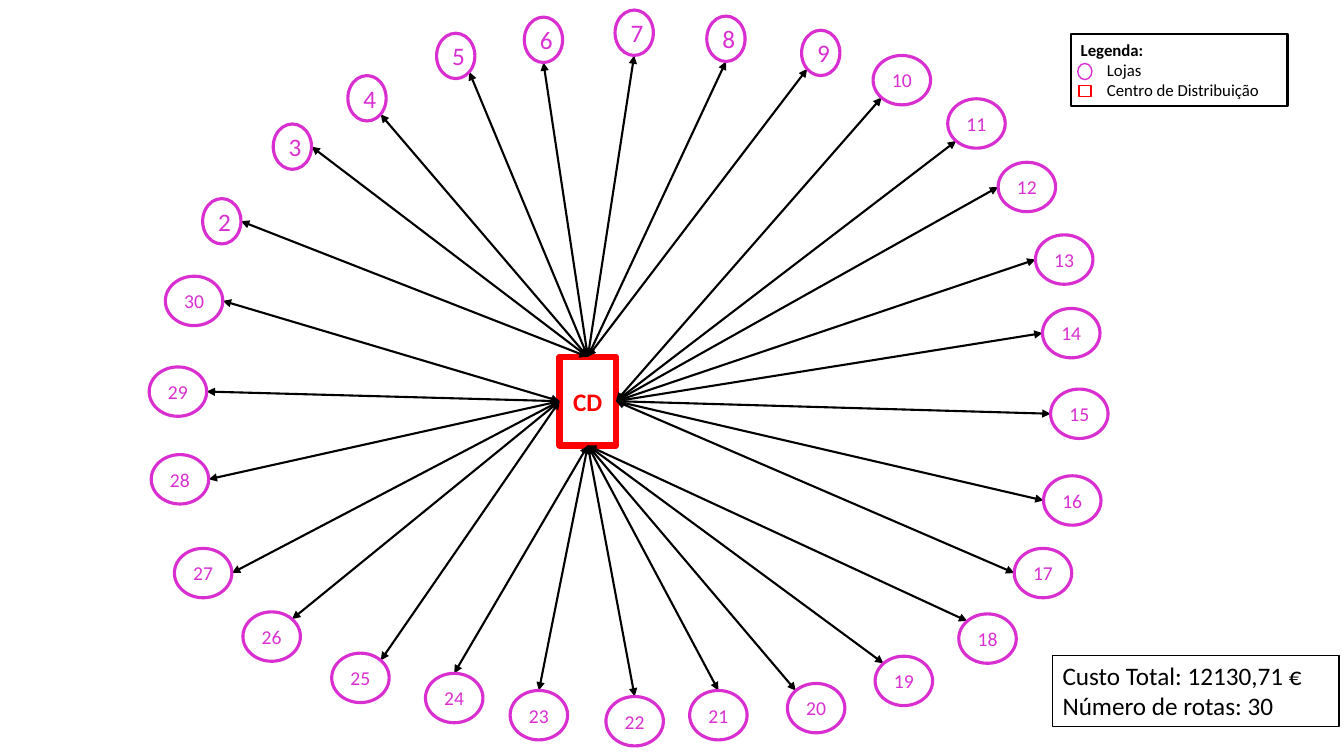
from math import sqrt

from lxml import etree
from pptx import Presentation
from pptx.dml.color import RGBColor
from pptx.enum.shapes import MSO_CONNECTOR, MSO_SHAPE
from pptx.enum.text import MSO_ANCHOR, PP_ALIGN
from pptx.oxml.ns import qn
from pptx.util import Inches, Pt

RECTANGLE, OVAL = MSO_SHAPE.RECTANGLE, MSO_SHAPE.OVAL
STRAIGHT = MSO_CONNECTOR.STRAIGHT
TOP, MIDDLE = MSO_ANCHOR.TOP, MSO_ANCHOR.MIDDLE
LEFT, CENTER = PP_ALIGN.LEFT, PP_ALIGN.CENTER

FONT = "Calibri"
COLORS = {"store": "D92FD1", "depot": "FF0000", "ink": "000000"}

DEPOT_BOX = (5.55, 3.54, 0.56, 0.88)
DEPOT_SIDES = {"top": 0, "left": 1, "bottom": 2, "right": 3}

# Direction from a store's centre to the point where its route ends
DIRECTIONS = {
    "N": (0, -1), "NE": (1, -1), "E": (1, 0), "SE": (1, 1),
    "S": (0, 1), "SW": (-1, 1), "W": (-1, 0), "NW": (-1, -1),
}

# Stores 2 to 30: left, top, depot side, route end on the store
STORES = [
    (2.01, 1.97, "top", "E"),
    (2.71, 1.23, "top", "E"),
    (3.45, 0.75, "top", "SE"),
    (4.33, 0.33, "top", "SE"),
    (5.20, 0.17, "top", "S"),
    (6.10, 0.10, "top", "S"),
    (7.01, 0.16, "top", "S"),
    (7.95, 0.30, "top", "SW"),
    (8.66, 0.55, "right", "SW"),
    (9.40, 0.98, "right", "SW"),
    (9.90, 1.61, "right", "W"),
    (10.27, 2.33, "right", "W"),
    (10.34, 3.06, "right", "W"),
    (10.42, 3.86, "right", "W"),
    (10.35, 4.72, "right", "W"),
    (10.06, 5.44, "right", "W"),
    (9.51, 6.09, "bottom", "NW"),
    (8.68, 6.51, "bottom", "NW"),
    (7.81, 6.78, "bottom", "NW"),
    (6.84, 6.85, "bottom", "N"),
    (6.01, 6.91, "bottom", "N"),
    (5.06, 6.85, "bottom", "N"),
    (4.22, 6.68, "bottom", "N"),
    (3.29, 6.48, "left", "NE"),
    (2.41, 6.07, "left", "NE"),
    (1.73, 5.44, "left", "E"),
    (1.50, 4.51, "left", "E"),
    (1.48, 3.64, "left", "E"),
    (1.64, 2.74, "left", "E"),
]


def rgb(name):
    return RGBColor.from_string(COLORS[name])


def add_outline(slide, kind, box, color, weight):
    """Add an unfilled shape; box is left, top, width, height in inches."""
    outline = slide.shapes.add_shape(kind, *map(Inches, box))
    outline.shadow.inherit = False
    outline.fill.background()
    outline.line.color.rgb = rgb(color)
    outline.line.width = Pt(weight)
    return outline


def write_lines(shape, lines, size, color, align=CENTER, anchor=MIDDLE):
    """Write lines of (text, bold, indent in inches)."""
    frame = shape.text_frame
    frame.word_wrap = True
    frame.vertical_anchor = anchor
    for number, (text, bold, indent) in enumerate(lines):
        paragraph = frame.add_paragraph() if number else frame.paragraphs[0]
        paragraph.alignment = align
        if indent:
            paragraph._p.get_or_add_pPr().set("marL", str(Inches(indent)))
        run = paragraph.add_run()
        run.text = text
        run.font.name = FONT
        run.font.size = Pt(size)
        run.font.bold = bold
        run.font.color.rgb = rgb(color)


def add_route(slide, depot, side, end):
    """Add a two-headed arrow from a depot side to a point in inches."""
    x, y = map(Inches, end)
    route = slide.shapes.add_connector(STRAIGHT, x, y, x, y)
    route.begin_connect(depot, DEPOT_SIDES[side])
    route.line.color.rgb = rgb("ink")
    route.line.width = Pt(1.5)
    line = route.line._get_or_add_ln()
    for arrowhead in ("a:headEnd", "a:tailEnd"):
        etree.SubElement(line, qn(arrowhead), type="triangle")
    etree.SubElement(route._element.spPr, qn("a:effectLst"))


def add_store(slide, depot, number, left, top, side, direction):
    width, height, size = (0.38, 0.45, 18) if number < 10 else (0.57, 0.49, 14)
    dx, dy = DIRECTIONS[direction]
    reach = 1 / sqrt(dx * dx + dy * dy)
    end = (left + width / 2 * (1 + dx * reach),
           top + height / 2 * (1 + dy * reach))
    add_route(slide, depot, side, end)
    store = add_outline(slide, OVAL, (left, top, width, height), "store", 2.25)
    write_lines(store, [(str(number), False, 0)], size, "store")


def add_legend(slide):
    legend = add_outline(slide, RECTANGLE, (10.62, 0.34, 2.15, 0.71), "ink", 1.5)
    entries = [
        ("Legenda:", True, 0),
        ("Lojas", False, 0.26),
        ("Centro de Distribuição", False, 0.26),
    ]
    write_lines(legend, entries, 12, "ink", LEFT, TOP)
    add_outline(slide, RECTANGLE, (10.7, 0.85, 0.12, 0.11), "depot", 1)
    add_outline(slide, OVAL, (10.69, 0.63, 0.14, 0.16), "store", 1)


def add_totals(slide):
    totals = add_outline(slide, RECTANGLE, (10.44, 6.5, 2.84, 0.71), "ink", 1)
    lines = [
        ("Custo Total: 12130,71 €", False, 0),
        ("Número de rotas: 30", False, 0),
    ]
    write_lines(totals, lines, 18, "ink", LEFT, TOP)


def main():
    deck = Presentation()
    deck.slide_width, deck.slide_height = Inches(13.33), Inches(7.5)
    slide = deck.slides.add_slide(deck.slide_layouts[6])

    depot = add_outline(slide, RECTANGLE, DEPOT_BOX, "depot", 4.5)
    write_lines(depot, [("CD", True, 0)], 18, "depot")
    for number, store in enumerate(STORES, start=2):
        add_store(slide, depot, number, *store)
    add_totals(slide)
    add_legend(slide)

    deck.save("out.pptx")


if __name__ == "__main__":
    main()
